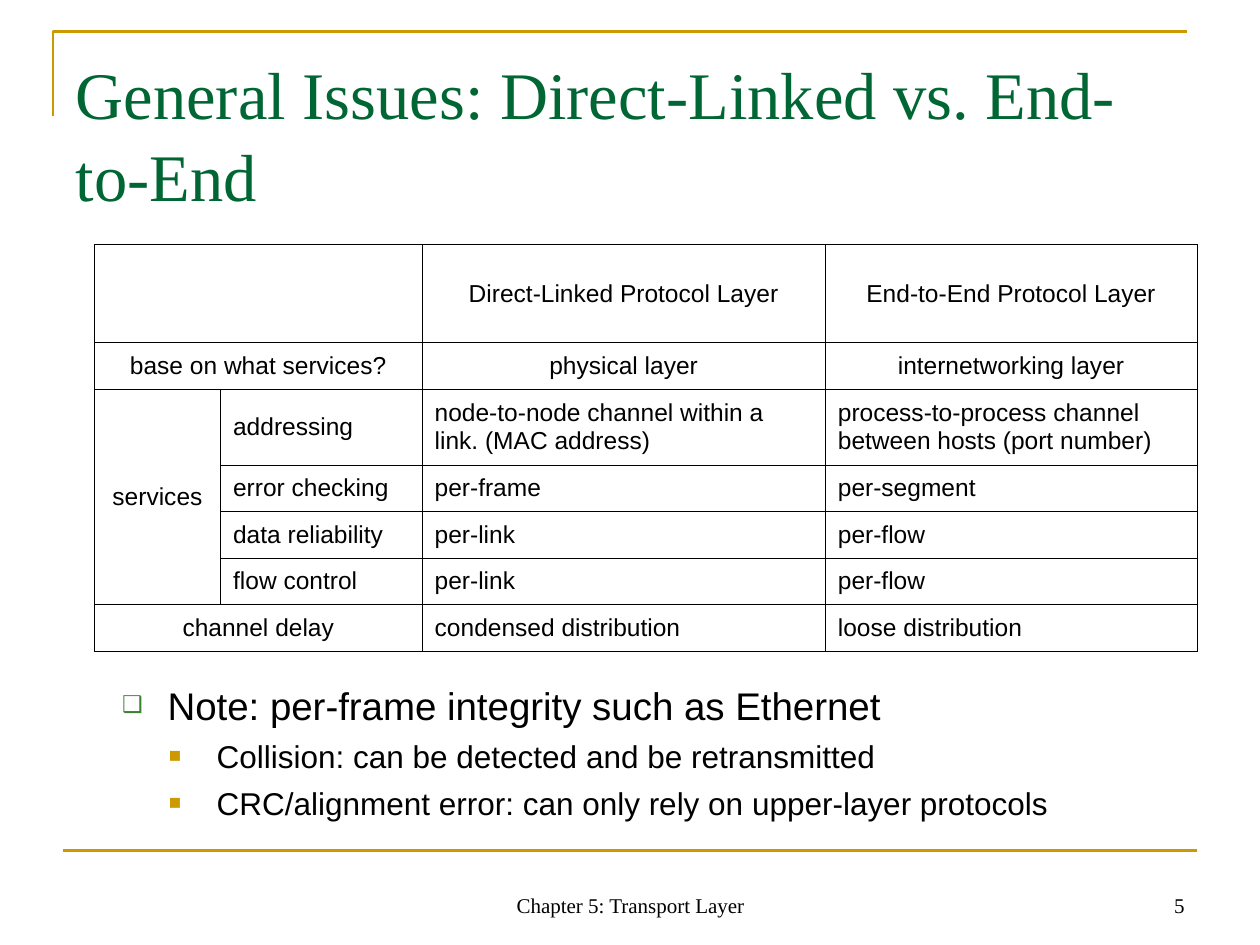
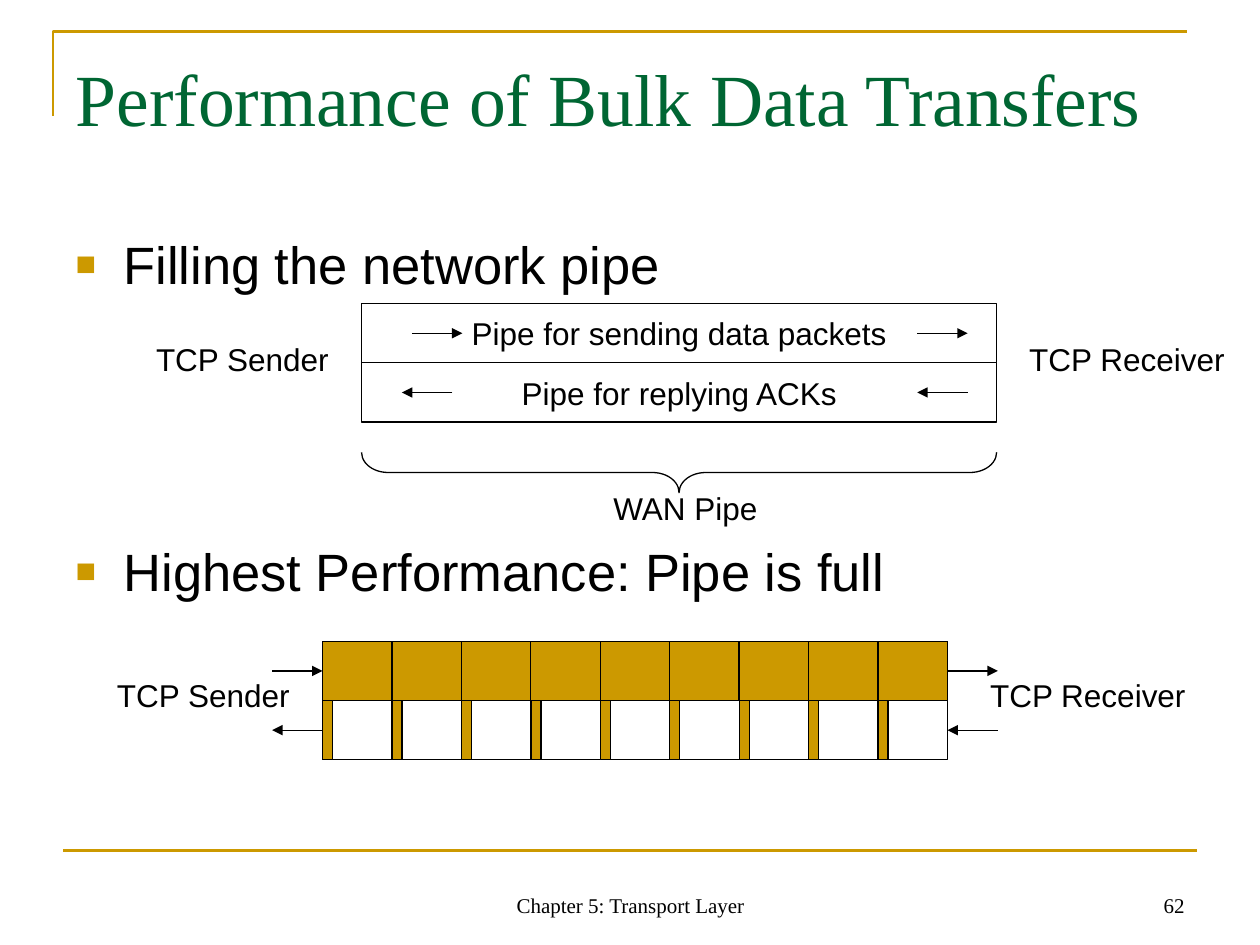
from dataclasses import dataclass
from lxml.etree import SubElement as Sub
from pptx import Presentation
from pptx.dml.color import RGBColor as RGB
from pptx.enum.shapes import MSO_CONNECTOR as Link, MSO_SHAPE as Kind
from pptx.enum.text import MSO_ANCHOR as Anchor, MSO_AUTO_SIZE as Fit, PP_ALIGN as Align
from pptx.oxml.ns import qn
from pptx.util import Inches, Pt


@dataclass(frozen=True)
class Theme:
    gold: str = "CC9900"
    green: str = "006633"
    leaf: str = "3B812F"
    ink: str = "000000"
    paper: str = "FFFFFF"
    sans: str = "Arial"
    serif: str = "Times New Roman"
    foot: int = 12
    cell: int = 14
    label: int = 18
    rule: float = 1.5
    thin: float = 0.75
    grid: float = 0.45
    lead: float = 1.03


T = Theme()
WIDE, HIGH = 10, 7.5
EDGE = 0.05 * WIDE
SPAN = WIDE - 2 * EDGE

FOOT = "Chapter 5: Transport Layer"
LINKS = {
    "title": "General Issues: Direct-Linked vs. End-to-End",
    "size": 38,
    "page": "5",
    "body": (EDGE, 5.32, 9.07, 1.38),
    "list": [
        ("Note: per-frame integrity such as Ethernet", "note", 0),
        ("Collision: can be detected and be retransmitted", "item", 4.5),
        ("CRC/alignment error: can only rely on upper-layer protocols", "item", 4.5),
    ],
}
BULK = {
    "title": "Performance of Bulk Data Transfers",
    "size": 42,
    "page": "62",
    "body": (EDGE, 1.75, SPAN, 4.95),
    "list": [
        ("Filling the network pipe", "main", 0),
        ("Highest Performance: Pipe is full", "main", 138),
    ],
}
LEVELS = {
    "main": (0, 30, 0.38, 0.38, "■", T.gold, 65),
    "note": (1, 22, 0.73, 0.36, "❑", T.leaf, 60),
    "item": (2, 18, 1.12, 0.38, "■", T.gold, 65),
}

ROWS = [
    ("", None, "Direct-Linked Protocol Layer", "End-to-End Protocol Layer"),
    ("base on what services?", None, "physical layer", "internetworking layer"),
    ("services", "addressing", "node-to-node channel within a link. (MAC address)",
     "process-to-process channel between hosts (port number)"),
    (None, "error checking", "per-frame", "per-segment"),
    (None, "data reliability", "per-link", "per-flow"),
    (None, "flow control", "per-link", "per-flow"),
    ("channel delay", None, "condensed distribution", "loose distribution"),
]
MERGES = [(0, 0, 0, 1), (1, 0, 1, 1), (2, 0, 5, 0), (6, 0, 6, 1)]
COLS = (1, 1.6, 3.2, 2.95)
TALL = (0.78, 0.37, 0.6, 0.37, 0.37, 0.37, 0.37)

LANE = 0.47
STEP = 0.4
PIPE = (2.87, 2.41, 5.04)
LANES = ["Pipe for sending data packets", "Pipe for replying ACKs"]
FULL = (2.56, 5.09, 4.96)
SLOTS = 9
ACK = 0.08
ENDS = [("TCP Sender", 1.57, -0.16), ("TCP Receiver", 1.75, 0.16)]


def box(*lens):
    return [Inches(n) for n in lens]


def write(para, text, size, face=T.sans, tint=T.ink):
    run = para.add_run()
    run.text = text
    run.font.size = Pt(size)
    run.font.name = face
    run.font.color.rgb = RGB.from_string(tint)


def stroke(line, tint, width):
    line.color.rgb = RGB.from_string(tint)
    line.width = Pt(width)


def wire(slide, x, y, far, tint=T.ink, width=T.thin, head=True):
    line = slide.shapes.add_connector(Link.STRAIGHT, *box(x, y, far, y))
    stroke(line.line, tint, width)
    props = line._element.spPr
    if head:
        Sub(props.find(qn("a:ln")), qn("a:tailEnd"), type="triangle")
    Sub(props, qn("a:effectLst"))


def label(slide, text, x, y, w, h, size=T.label, face=T.sans,
          align=Align.LEFT, anchor=Anchor.TOP, wrap=False):
    frame = slide.shapes.add_textbox(*box(x, y, w, h)).text_frame
    frame.word_wrap = wrap
    frame.vertical_anchor = anchor
    para = frame.paragraphs[0]
    para.alignment = align
    write(para, text, size, face)


def block(slide, x, y, w, h, tint, kind=Kind.RECTANGLE):
    part = slide.shapes.add_shape(kind, *box(x, y, w, h))
    part.shadow.inherit = False
    if tint:
        part.fill.solid()
        part.fill.fore_color.rgb = RGB.from_string(tint)
    else:
        part.fill.background()
    stroke(part.line, T.ink, T.thin)
    return part


def place(hold, area, top):
    hold.left, hold.top, hold.width, hold.height = box(*area)
    frame = hold.text_frame
    frame.auto_size = Fit.NONE
    frame.word_wrap = True
    frame.vertical_anchor = Anchor.TOP
    frame.margin_left = frame.margin_right = Inches(0.1)
    frame.margin_top = Inches(top)
    return frame


def bullet(para, left, hang, mark, tint, share):
    props = para._p.get_or_add_pPr()
    props.set("marL", str(Inches(left)))
    props.set("indent", str(-Inches(hang)))
    Sub(Sub(props, qn("a:buClr")), qn("a:srgbClr"), val=tint)
    Sub(props, qn("a:buSzPct"), val=str(share * 1000))
    Sub(props, qn("a:buFont"), typeface=T.sans)
    Sub(props, qn("a:buChar"), char=mark)


def start(deck, data):
    slide = deck.slides.add_slide(deck.slide_layouts[1])
    pen = slide.shapes.build_freeform(*box(0.42, 0.92))
    pen.add_line_segments([box(0.42, 0.25), box(9.42, 0.25)], close=False)
    trim = pen.convert_to_shape()
    trim.fill.background()
    trim.shadow.inherit = False
    stroke(trim.line, T.gold, T.rule)
    base = 0.9 * HIGH
    wire(slide, EDGE, base, EDGE + SPAN, T.gold, T.rule, False)
    for text, x, w, align in ((FOOT, 3.42, 3.17, Align.CENTER),
                              (data["page"], 7.17, 2.33, Align.RIGHT)):
        label(slide, text, x, 6.83, w, 0.5, T.foot, T.serif, align, Anchor.BOTTOM, True)

    para = place(slide.shapes.title, (EDGE, 0.3, SPAN, 1.25), 0.1).paragraphs[0]
    para.alignment = Align.LEFT
    para.line_spacing = T.lead
    write(para, data["title"], data["size"], T.serif, T.green)

    frame = place(slide.placeholders[1], data["body"], 0.08)
    for i, (text, name, gap) in enumerate(data["list"]):
        para = frame.add_paragraph() if i else frame.paragraphs[0]
        level, size, *mark = LEVELS[name]
        para.level = level
        para.line_spacing = T.lead
        para.space_before = Pt(gap)
        para.space_after = Pt(0)
        bullet(para, *mark)
        write(para, text, size)
    return slide


def border(cell):
    props = cell._tc.get_or_add_tcPr()
    for side in ("lnL", "lnR", "lnT", "lnB"):
        line = Sub(props, qn("a:" + side), w=str(Pt(T.grid)))
        Sub(Sub(line, qn("a:solidFill")), qn("a:srgbClr"), val=T.ink)
    cell.fill.background()


def compare(slide):
    area = box(0.75, 1.94, sum(COLS), sum(TALL))
    table = slide.shapes.add_table(len(ROWS), len(COLS), *area).table
    table.first_row = table.horz_banding = False
    for col, w in zip(table.columns, COLS):
        col.width = Inches(w)
    for row, h in zip(table.rows, TALL):
        row.height = Inches(h)
    for r, row in enumerate(ROWS):
        for c, text in enumerate(row):
            cell = table.cell(r, c)
            border(cell)
            cell.vertical_anchor = Anchor.MIDDLE
            if text:
                para = cell.text_frame.paragraphs[0]
                para.alignment = Align.CENTER if r < 2 or c == 0 else Align.LEFT
                write(para, text, T.cell)
    for r, c, low, right in MERGES:
        table.cell(r, c).merge(table.cell(low, right))


def ends(slide, x, y, w):
    for (text, size, gap), edge in zip(ENDS, (x - ENDS[0][1], x + w)):
        label(slide, text, edge + gap, y, size, 0.4)


def pipe(slide):
    x, y, w = PIPE
    for i, text in enumerate(LANES):
        lane = block(slide, x, y + i * LANE, w, LANE, T.paper)
        frame = lane.text_frame
        frame.word_wrap = False
        frame.vertical_anchor = Anchor.MIDDLE
        para = frame.paragraphs[0]
        para.alignment = Align.CENTER
        write(para, text, T.label)
    mid = y + LANE / 2
    for left in (x + STEP, x + w - 0.63):
        wire(slide, left, mid, left + STEP)
    for left in (x + 0.32, x + w - 0.63):
        wire(slide, left + STEP, mid + LANE, left)
    deep = 0.32
    brace = block(slide, x + (w - deep) / 2, 3.75 - w / 2, deep, w, None, Kind.LEFT_BRACE)
    brace.rotation = 270
    brace.adjustments[0] = 0.66
    label(slide, "WAN Pipe", 4.77, 3.83, 1.35, 0.4)
    ends(slide, x, y + 0.24, w)


def full(slide):
    x, y, w = FULL
    slot = w / SLOTS
    for i, fill in enumerate((slot, ACK)):
        top = y + i * LANE
        block(slide, x, top, w, LANE, T.paper)
        for n in range(SLOTS):
            block(slide, x + n * slot, top, fill, LANE, T.gold)
        for left in (x - STEP, x + w):
            tips = (left, left + STEP)
            near, far = tips[::-1] if i else tips
            wire(slide, near, top + LANE / 2, far)
    ends(slide, x, y + 0.23, w + 0.08)


def main():
    deck = Presentation()
    deck.slide_width, deck.slide_height = box(WIDE, HIGH)
    compare(start(deck, LINKS))
    slide = start(deck, BULK)
    pipe(slide)
    full(slide)
    deck.save("out.pptx")


if __name__ == "__main__":
    main()
